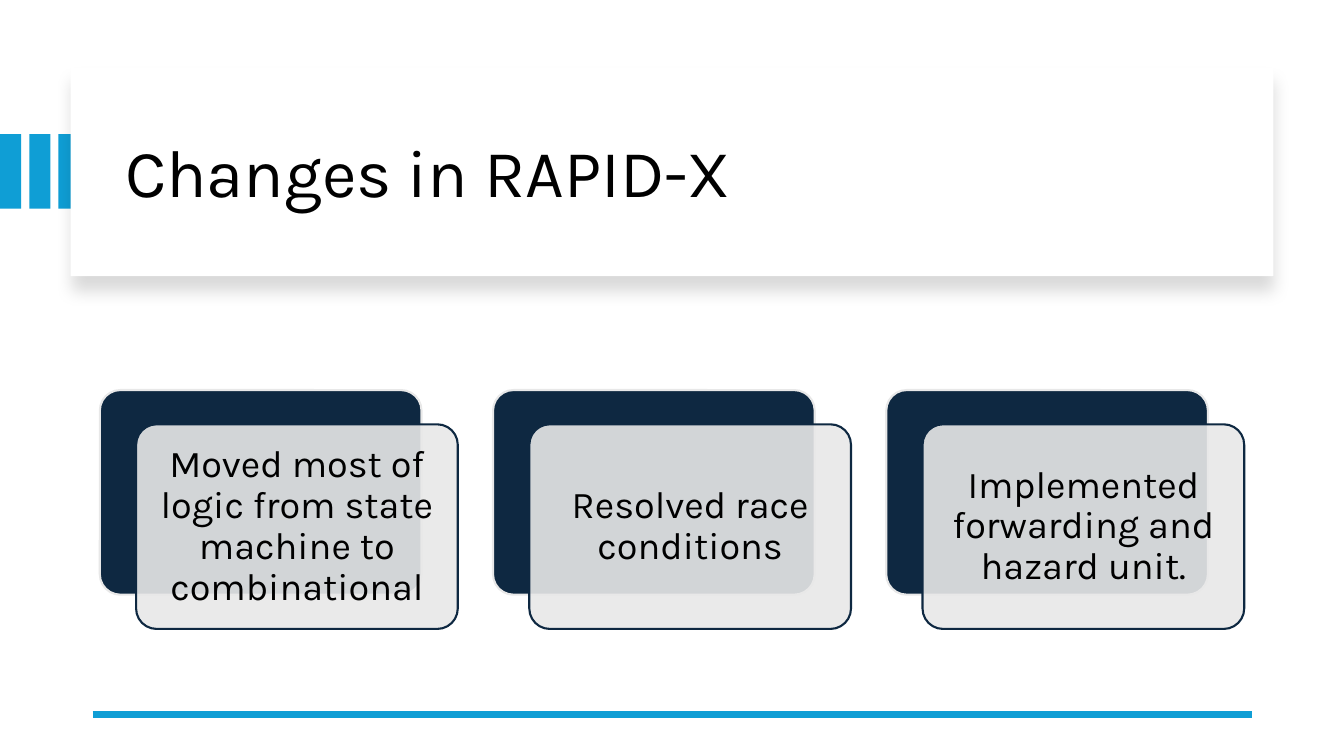
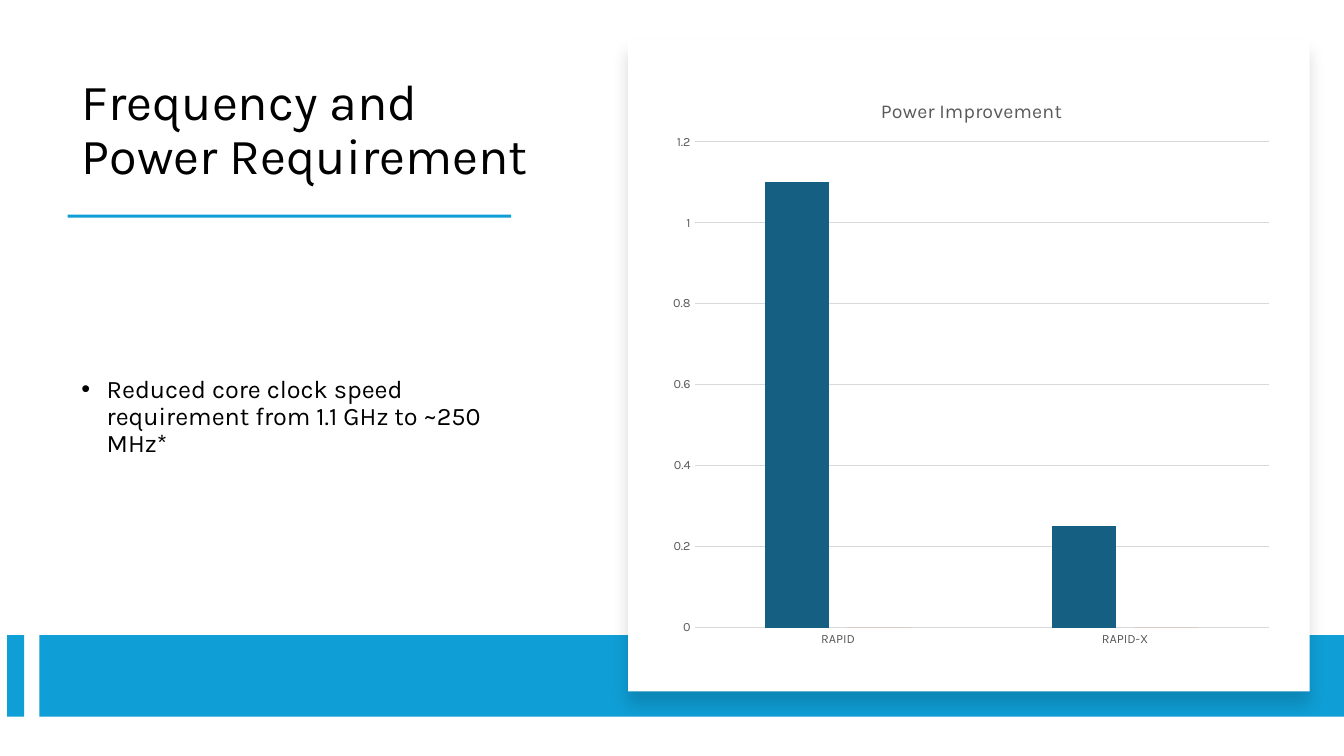
"""Build two slides on the RAPID-X changes and its lower clock requirement."""

from typing import NamedTuple

from lxml.etree import SubElement
from pptx import Presentation
from pptx.chart.data import CategoryChartData
from pptx.dml.color import RGBColor
from pptx.enum.chart import XL_CHART_TYPE as ChartType, XL_TICK_MARK as Tick
from pptx.enum.shapes import MSO_CONNECTOR as Connector, MSO_SHAPE as Shape
from pptx.enum.text import MSO_ANCHOR as Anchor, MSO_AUTO_SIZE as AutoSize, PP_ALIGN as Align
from pptx.oxml.ns import qn
from pptx.oxml.xmlchemy import OxmlElement
from pptx.util import Emu, Pt

PX = 9144
FONT = "Karla"
BLACK = RGBColor(0x00, 0x00, 0x00)
WHITE = RGBColor(0xFF, 0xFF, 0xFF)
SKY = RGBColor(0x0F, 0x9E, 0xD5)
NAVY = RGBColor(0x0E, 0x28, 0x41)
PALE = RGBColor(0xE8, 0xE8, 0xE8)
TEAL = RGBColor(0x15, 0x60, 0x82)
ORANGE = RGBColor(0xE9, 0x71, 0x32)
GRID = RGBColor(0xD9, 0xD9, 0xD9)
LABEL = RGBColor(0x59, 0x59, 0x59)

CARD_TEXTS = (
    "Moved most of logic from state machine to combinational",
    "Resolved race conditions",
    "Implemented forwarding and hazard unit.",
)
CARD_STEP = 390


class Box(NamedTuple):
    """Left, top, width and height in px, 100 to the inch."""

    left: int
    top: int
    width: int
    height: int

    def emu(self) -> tuple[Emu, ...]:
        """Return the four lengths in EMU."""
        return tuple(Emu(length * PX) for length in self)

    def shifted(self, right: int, down: int = 0) -> "Box":
        """Return the same box moved by an offset."""
        return self._replace(left=self.left + right, top=self.top + down)


class Series(NamedTuple):
    """One set of columns in the chart."""

    name: str
    values: tuple[float, ...]
    color: RGBColor


POWER_SERIES = (
    Series("Series 1", (1.1, 0.25), TEAL),
    Series("Series 2", (0, 0), ORANGE),
)


def style_font(font, size: int, color: RGBColor) -> None:
    """Apply the deck font with a size and colour."""
    font.name = FONT
    font.size = Pt(size)
    font.bold = False
    font.color.rgb = color


def write(paragraph, text: str, size: int, color: RGBColor = BLACK, align: Align = Align.LEFT) -> None:
    """Add one styled run to a paragraph."""
    paragraph.alignment = align
    paragraph.line_spacing = 0.9
    run = paragraph.add_run()
    run.text = text
    style_font(run.font, size, color)


def prepare_frame(frame, anchor: Anchor) -> None:
    """Make a text frame wrap at a fixed size."""
    frame.word_wrap = True
    frame.auto_size = AutoSize.NONE
    frame.vertical_anchor = anchor


def add_block(slide, box: Box, fill: RGBColor, kind: Shape = Shape.RECTANGLE):
    """Draw a plain filled shape without outline or shadow."""
    block = slide.shapes.add_shape(kind, *box.emu())
    block.shadow.inherit = False
    block.fill.solid()
    block.fill.fore_color.rgb = fill
    block.line.fill.background()
    return block


def add_panel(slide, box: Box) -> None:
    """Draw a white panel with a soft shadow below it."""
    panel = add_block(slide, box, WHITE)
    effects = panel._element.spPr.find(qn("a:effectLst"))
    shadow = SubElement(effects, qn("a:outerShdw"), blurRad=str(Pt(11)), dist=str(Pt(10)),
                        dir="5400000", algn="t", rotWithShape="0")
    color = SubElement(shadow, qn("a:srgbClr"), val=str(BLACK))
    SubElement(color, qn("a:alpha"), val="15000")


def place_title(slide, box: Box, text: str, size: int, anchor: Anchor) -> None:
    """Place the title placeholder in front and fill it."""
    title = slide.shapes.title
    title.left, title.top, title.width, title.height = box.emu()
    prepare_frame(title.text_frame, anchor)
    write(title.text_frame.paragraphs[0], text, size)
    slide.shapes._spTree.append(title._element)


def add_rule(slide, left: int, right: int, y: int) -> None:
    """Draw the thick horizontal rule."""
    rule = slide.shapes.add_connector(
        Connector.STRAIGHT, *(Emu(length * PX) for length in (left, y, right, y)))
    rule.line.color.rgb = SKY
    rule.line.width = Pt(4.5)
    SubElement(rule._element.spPr, qn("a:effectLst"))


def add_card(slide, back_box: Box, text: str) -> None:
    """Draw a navy card with a translucent text card over it."""
    front_box = back_box.shifted(36, 34)
    back, front = (
        add_block(slide, box, fill, Shape.ROUNDED_RECTANGLE)
        for box, fill in ((back_box, NAVY), (front_box, PALE)))
    for card, outline in ((back, PALE), (front, NAVY)):
        card.adjustments[0] = 0.1
        card.line.color.rgb = outline
        card.line.width = Pt(1.5)
    tint = front._element.spPr.find(qn("a:solidFill"))[0]
    SubElement(tint, qn("a:alpha"), val="90000")
    frame = front.text_frame
    prepare_frame(frame, Anchor.MIDDLE)
    frame.margin_left = frame.margin_right = frame.margin_top = frame.margin_bottom = Emu(11 * PX)
    write(frame.paragraphs[0], text, 27, align=Align.CENTER)


def add_bullet(slide, box: Box, text: str) -> None:
    """Write a bulleted paragraph with a hanging indent."""
    frame = slide.shapes.add_textbox(*box.emu()).text_frame
    prepare_frame(frame, Anchor.MIDDLE)
    point = frame.paragraphs[0]
    write(point, text, 18)
    point.space_before = Pt(10)
    properties = point._p.get_or_add_pPr()
    properties.set("marL", str(25 * PX))
    properties.set("indent", str(-25 * PX))
    SubElement(properties, qn("a:buFont"), typeface="Arial")
    SubElement(properties, qn("a:buChar"), char="•")


def set_layout(element, index: int, **settings: str | float) -> None:
    """Give a chart part a manual layout at a child index."""
    for old in element.findall(qn("c:layout")):
        element.remove(old)
    layout = OxmlElement("c:layout")
    manual = SubElement(layout, qn("c:manualLayout"))
    for tag, value in settings.items():
        SubElement(manual, qn(f"c:{tag}"), val=str(value))
    element.insert(index, layout)


def add_power_chart(slide, box: Box) -> None:
    """Draw the clustered column chart."""
    data = CategoryChartData()
    data.categories = ("RAPID", "RAPID-X")
    for series in POWER_SERIES:
        data.add_series(series.name, series.values)
    chart = slide.shapes.add_chart(ChartType.COLUMN_CLUSTERED, *box.emu(), data).chart
    style_font(chart.font, 10, BLACK)
    chart.has_legend = False
    chart.has_title = True
    heading = chart.chart_title
    write(heading.text_frame.paragraphs[0], "Power Improvement", 14, LABEL, Align.CENTER)
    set_layout(heading._element, 1, xMode="edge", yMode="edge", x=0.35, y=0.04)
    set_layout(chart._chartSpace.chart.plotArea, 0, layoutTarget="inner",
               xMode="edge", yMode="edge", x=0.055, y=0.12, w=0.926, h=0.828)

    plot = chart.plots[0]
    plot.vary_by_categories = False
    plot.gap_width = 219
    plot.overlap = -27
    for columns, series in zip(plot.series, POWER_SERIES):
        columns.format.fill.solid()
        columns.format.fill.fore_color.rgb = series.color

    names, scale = chart.category_axis, chart.value_axis
    for axis in (names, scale):
        axis.major_tick_mark = axis.minor_tick_mark = Tick.NONE
        style_font(axis.tick_labels.font, 9, LABEL)
    scale.minimum_scale, scale.maximum_scale, scale.major_unit = 0, 1.2, 0.2
    scale.format.line.fill.background()
    scale.has_major_gridlines = True
    for line in (names.format.line, scale.major_gridlines.format.line):
        line.color.rgb = GRID
        line.width = Pt(0.75)


def build_changes(slide) -> None:
    """Build the slide with the three changes."""
    stripe = Box(0, 133, 21, 74)
    for index in range(3):
        add_block(slide, stripe.shifted(index * 29), SKY)
    add_panel(slide, Box(70, 67, 1193, 207))
    place_title(slide, Box(114, 89, 1113, 170), "Changes in RAPID-X", 48, Anchor.MIDDLE)
    add_rule(slide, 92, 1242, 709)
    first_card = Box(99, 387, 319, 203)
    for index, text in enumerate(CARD_TEXTS):
        add_card(slide, first_card.shifted(index * CARD_STEP), text)


def build_power(slide) -> None:
    """Build the slide with the frequency and power chart."""
    place_title(slide, Box(71, 58, 468, 131), "Frequency and Power Requirement", 36, Anchor.BOTTOM)
    add_block(slide, Box(67, 213, 440, 3), SKY)
    add_bullet(slide, Box(71, 222, 468, 384),
               "Reduced core clock speed requirement from 1.1 GHz to ~250 MHz*")
    for left, width in ((7, 17), (39, 1294)):
        add_block(slide, Box(left, 630, width, 81), SKY)
    add_panel(slide, Box(623, 39, 676, 647))
    add_power_chart(slide, Box(655, 71, 615, 582))


def main() -> None:
    """Build and save the presentation."""
    deck = Presentation()
    deck.slide_width, deck.slide_height = Emu(1333 * PX), Emu(750 * PX)
    title_only = deck.slide_layouts[5]
    for build in (build_changes, build_power):
        build(deck.slides.add_slide(title_only))
    deck.save("out.pptx")


if __name__ == "__main__":
    main()
